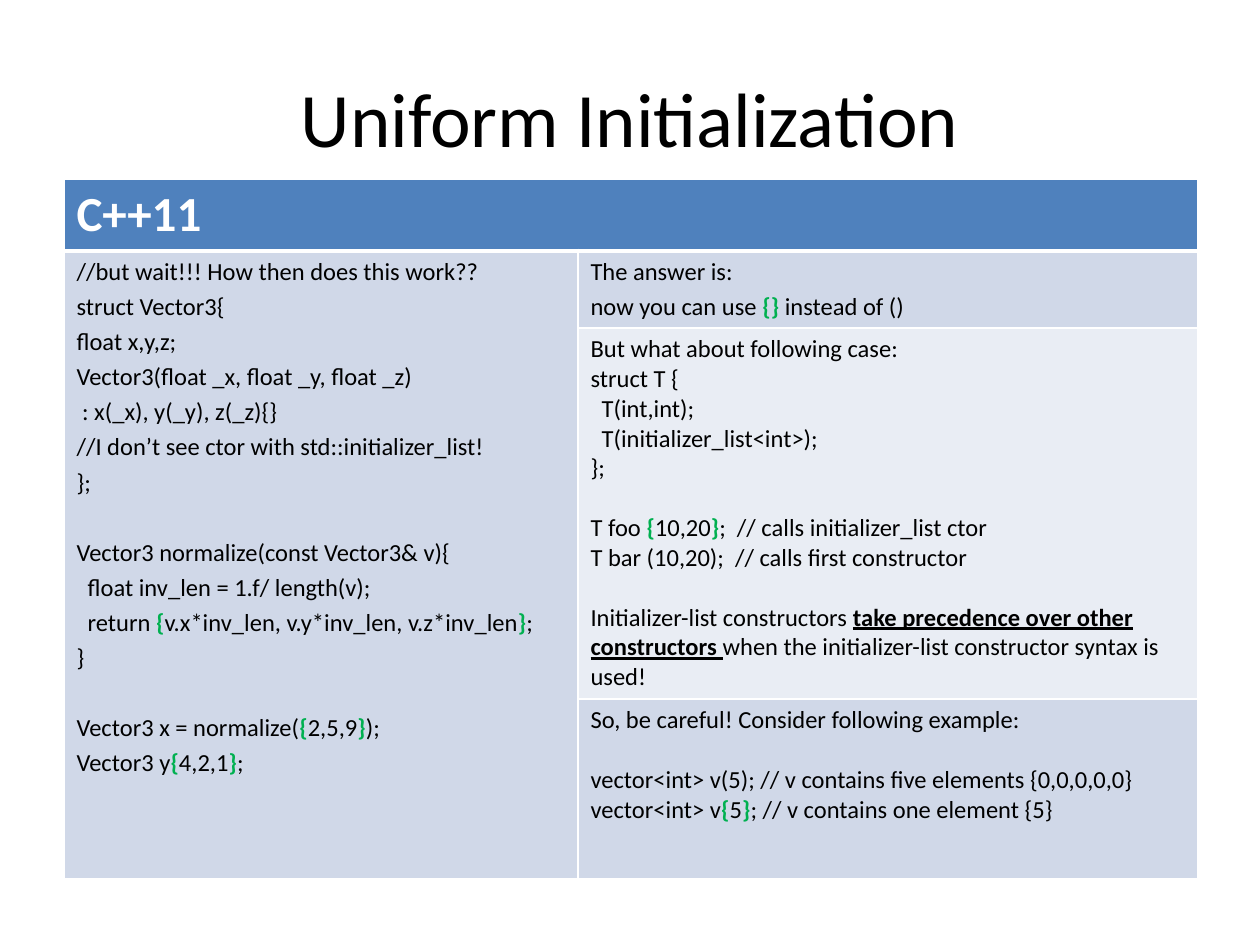
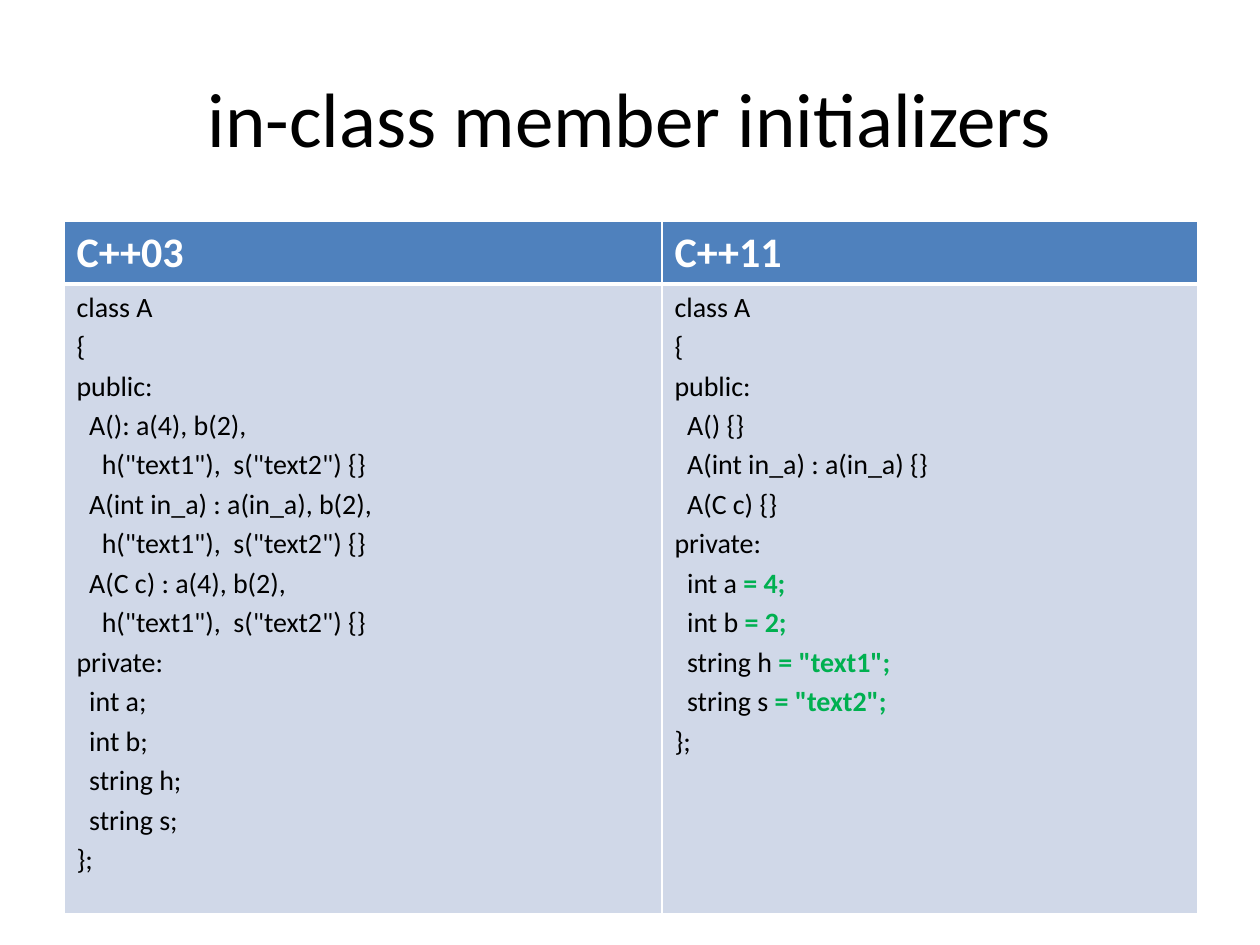
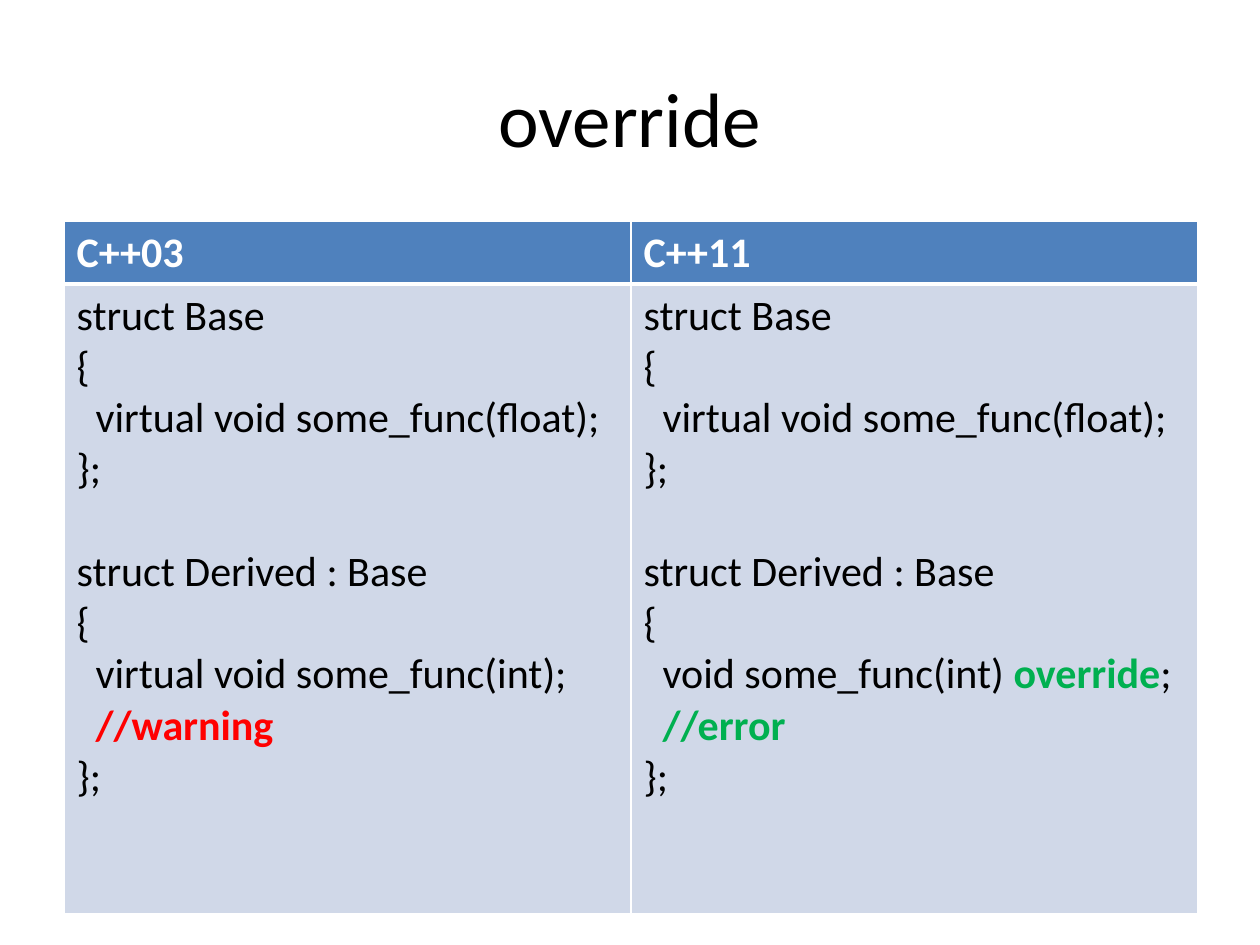
from pptx import Presentation
from pptx.dml.color import RGBColor as Rgb
from pptx.enum.text import MSO_ANCHOR as Anchor, PP_ALIGN as Align
from pptx.oxml import parse_xml
from pptx.oxml.ns import nsdecls
from pptx.util import Pt

COLORS = {
    "text": "000000", "white": "FFFFFF", "header": "4F81BD",
    "band": "D0D8E8", "light": "E9EDF4", "green": "00B050", "red": "FF0000",
}
FONT = "Calibri"
LINE_HEIGHT = 1.22  # line pitch of the font, relative to its size
EMU_PER_PX = 914400 / 126
TABLE_LEFT = 64
GAP = ""  # an empty line, drawn as extra space before the next one

# Span styles: colour, bold, underline
PLAIN = ("text", False, False)
HEADING = ("white", True, False)
GREEN = ("green", True, False)
RED = ("red", True, False)
STRESS = ("text", True, True)

OPEN, CLOSE = ("{", GREEN), ("}", GREEN)

# A line is a string, or a tuple of strings and (text, style) pairs.
VECTOR_CODE = [
    "//but wait!!! How then does this work??",
    "struct Vector3{",
    "float x,y,z;",
    "Vector3(float _x, float _y, float _z)",
    " : x(_x), y(_y), z(_z){}",
    "//I don’t see ctor with std::initializer_list!",
    "};",
    GAP,
    "Vector3 normalize(const Vector3& v){",
    "  float inv_len = 1.f/ length(v);",
    ("  return ", OPEN, "v.x*inv_len, v.y*inv_len, v.z*inv_len", CLOSE, ";"),
    "}",
    GAP,
    ("Vector3 x = normalize(", OPEN, "2,5,9", CLOSE, ");"),
    ("Vector3 y", OPEN, "4,2,1", CLOSE, ";"),
]
ANSWER = [
    "The answer is:",
    ("now you can use ", ("{}", GREEN), " instead of ()"),
]
PRECEDENCE = [
    "But what about following case:",
    "struct T {",
    "  T(int,int);",
    "  T(initializer_list<int>);",
    "};",
    GAP,
    ("T foo ", OPEN, "10,20", CLOSE, ";  // calls initializer_list ctor"),
    "T bar (10,20);  // calls first constructor",
    GAP,
    ("Initializer-list constructors ",
     ("take precedence over other constructors ", STRESS),
     "when the initializer-list constructor syntax is used!"),
]
CAREFUL = [
    "So, be careful! Consider following example:",
    GAP,
    "vector<int> v(5); // v contains five elements {0,0,0,0,0}",
    ("vector<int> v", OPEN, "5", CLOSE, "; // v contains one element {5}"),
]

CLASS_HEAD = ["class A", "{", "public:"]
TEXT_INIT = '    h("text1"),  s("text2") {}'
MEMBERS_03 = CLASS_HEAD + [
    "  A(): a(4), b(2),", TEXT_INIT,
    "  A(int in_a) : a(in_a), b(2),", TEXT_INIT,
    "  A(C c) : a(4), b(2),", TEXT_INIT,
    "private:", "  int a;", "  int b;", "  string h;", "  string s;", "};",
]
MEMBERS_11 = CLASS_HEAD + [
    "  A() {}", "  A(int in_a) : a(in_a) {}", "  A(C c) {}",
    "private:",
    ("  int a ", ("= 4;", GREEN)),
    ("  int b ", ("= 2;", GREEN)),
    ("  string h ", ('= "text1";', GREEN)),
    ("  string s ", ('= "text2";', GREEN)),
    "};",
]

BASE = ["struct Base", "{", "  virtual void some_func(float);", "};", GAP,
        "struct Derived : Base", "{"]
OVERRIDE_03 = BASE + ["  virtual void some_func(int);",
                      ("  ", ("//warning", RED)), "};"]
OVERRIDE_11 = BASE + [("  void some_func(int) ", ("override", GREEN), ";"),
                      (("  //error", GREEN),), "};"]

# Each cell: row, column, lines; merges: first and last cell
PAGES = [
    {"title": "Uniform Initialization", "top": 179,
     "columns": [514, 620], "rows": [72, 77, 371, 180],
     "heads": ["C++11"], "head_size": 28, "size": 14,
     "cells": [(1, 0, VECTOR_CODE), (1, 1, ANSWER),
               (2, 1, PRECEDENCE), (3, 1, CAREFUL)],
     "merges": [((0, 0), (0, 1)), ((1, 0), (3, 0))],
     "spaced_rows": [1]},
    {"title": "in-class member initializers", "top": 221,
     "columns": [598, 536], "rows": [63, 630],
     "heads": ["C++03", "C++11"], "head_size": 24, "size": 16,
     "cells": [(1, 0, MEMBERS_03), (1, 1, MEMBERS_11)],
     "merges": [], "spaced_rows": [1]},
    {"title": "override", "top": 221,
     "columns": [567, 567], "rows": [63, 630],
     "heads": ["C++03", "C++11"], "head_size": 24, "size": 24,
     "cells": [(1, 0, OVERRIDE_03), (1, 1, OVERRIDE_11)],
     "merges": [], "spaced_rows": []},
]


def px(length):
    return round(length * EMU_PER_PX)


def color(name):
    return Rgb.from_string(COLORS[name])


def write_line(para, line, size, style):
    pieces = (line,) if isinstance(line, str) else line
    for piece in pieces:
        text, (ink, bold, underline) = (
            (piece, style) if isinstance(piece, str) else piece)
        span = para.add_run()
        span.text = text
        font = span.font
        font.name, font.size = FONT, Pt(size)
        font.bold, font.underline = bold, underline
        font.color.rgb = color(ink)


def write_lines(frame, lines, size, style=PLAIN, spacing=0):
    para, before = frame.paragraphs[0], 0
    for index, line in enumerate(lines):
        if line == GAP:
            before += size * LINE_HEIGHT + spacing
            continue
        if index:
            para = frame.add_paragraph()
            before += spacing
        para.space_before = Pt(round(before, 1))
        write_line(para, line, size, style)
        before = 0


def style_cell(cell, row, fill):
    widths = {"L": 1, "R": 1, "T": 3 if row == 1 else 1, "B": 3 if row == 0 else 1}
    properties = cell._tc.get_or_add_tcPr()
    for side, width in widths.items():
        properties.append(parse_xml(
            f'<a:ln{side} {nsdecls("a")} w="{Pt(width)}"><a:solidFill>'
            f'<a:srgbClr val="{COLORS["white"]}"/></a:solidFill></a:ln{side}>'))
    cell.fill.solid()
    cell.fill.fore_color.rgb = color(fill)


def add_title(page, text):
    box = page.shapes.add_textbox(px(63), px(38), px(1134), px(157))
    frame = box.text_frame
    frame.word_wrap = True
    frame.vertical_anchor = Anchor.MIDDLE
    write_lines(frame, [text], 44)
    frame.paragraphs[0].alignment = Align.CENTER


def add_code_table(page, content):
    columns, rows = content["columns"], content["rows"]
    table = page.shapes.add_table(
        len(rows), len(columns), px(TABLE_LEFT), px(content["top"]),
        px(sum(columns)), px(sum(rows))).table
    table.horz_banding = False
    for column, width in zip(table.columns, columns):
        column.width = px(width)
    for row, height in zip(table.rows, rows):
        row.height = px(height)

    # Fills alternate below the header; a merged cell keeps its first fill
    for row in range(len(rows)):
        fill = "header" if row == 0 else "band" if row % 2 else "light"
        for column in range(len(columns)):
            style_cell(table.cell(row, column), row, fill)
    for first, last in content["merges"]:
        table.cell(*first).merge(table.cell(*last))

    # Words
    for column, head in enumerate(content["heads"]):
        write_lines(table.cell(0, column).text_frame, [head],
                    content["head_size"], HEADING)
    for row, column, lines in content["cells"]:
        spacing = 3 if row in content["spaced_rows"] else 0
        write_lines(table.cell(row, column).text_frame, lines,
                    content["size"], spacing=spacing)


def main():
    deck = Presentation()
    deck.slide_width, deck.slide_height = px(1260), px(945)
    for content in PAGES:
        page = deck.slides.add_slide(deck.slide_layouts[6])
        add_title(page, content["title"])
        add_code_table(page, content)
    deck.save("out.pptx")


if __name__ == "__main__":
    main()
